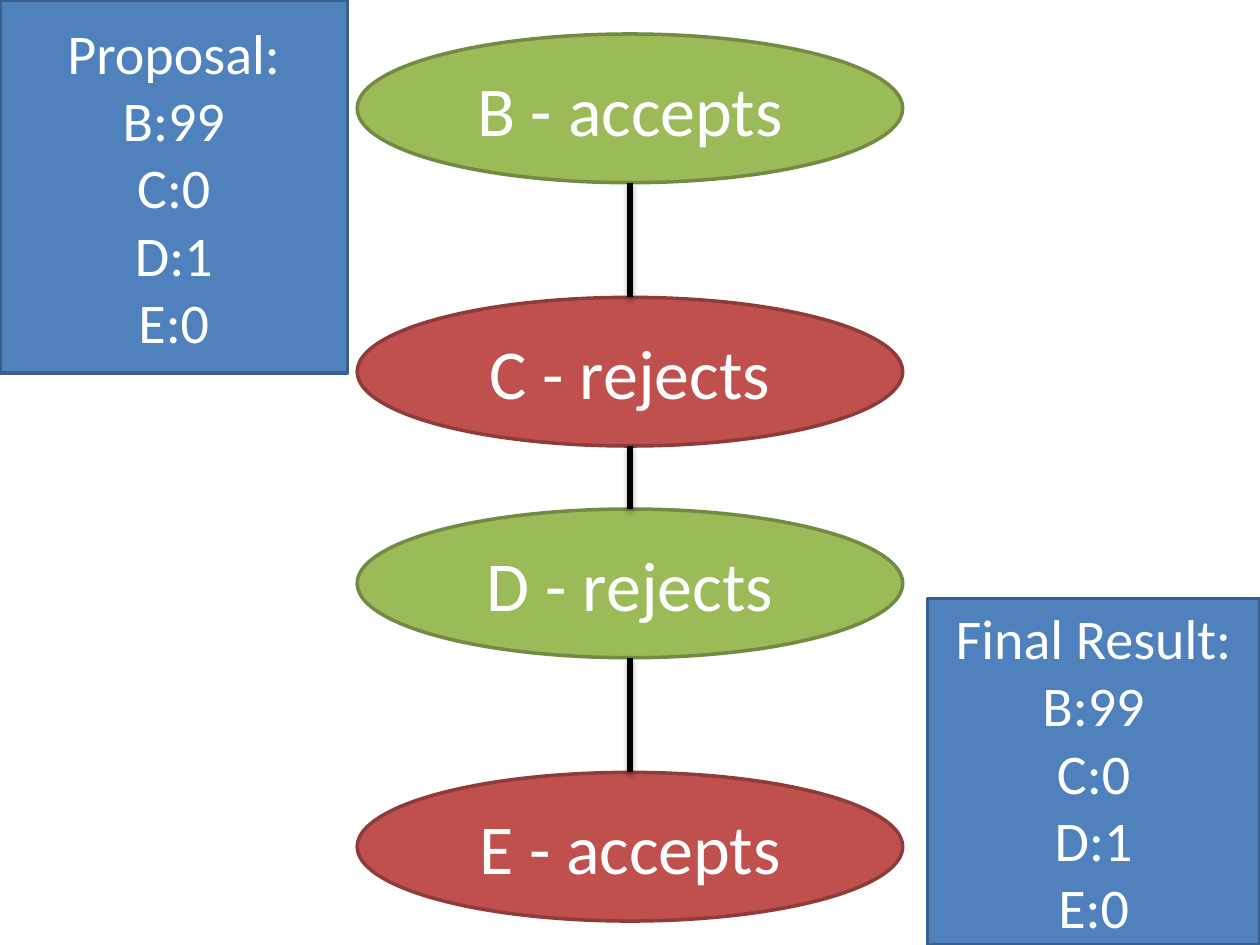
import pptx
import pptx.util
import pptx.dml.color
import pptx.enum.shapes
import pptx.enum.text
import pptx.oxml

Inches = pptx.util.Inches
SHAPE = pptx.enum.shapes.MSO_SHAPE
SHADOW = (
    '<a:effectLst xmlns:a="http://schemas.openxmlformats.org/drawingml/2006/main">'
    '<a:outerShdw blurRad="40000" dist="23000" dir="5400000" rotWithShape="0">'
    '<a:srgbClr val="000000"><a:alpha val="35000"/></a:srgbClr>'
    '</a:outerShdw></a:effectLst>'
)


def color(value):
    return pptx.dml.color.RGBColor.from_string(value)


class Deck:
    font = {"name": "Calibri"}
    text_color = "FFFFFF"
    styles = {
        "green": ("9BBB59", "738A42"),
        "red": ("C0504D", "8E3B39"),
        "blue": ("4F81BD", "3A5F8C"),
    }

    def __init__(self, prs):
        self.s = prs.slides.add_slide(prs.slide_layouts[6])

    def shape(self, kind, box, style, lines, size):
        sp = self.s.shapes.add_shape(kind, *map(Inches, box))
        sp.shadow.inherit = False
        fill, line = self.styles[style]
        sp.fill.solid()
        sp.fill.fore_color.rgb = color(fill)
        sp.line.color.rgb = color(line)
        sp.line.width = pptx.util.Pt(2)
        tf = sp.text_frame
        tf.word_wrap = True
        tf.vertical_anchor = pptx.enum.text.MSO_ANCHOR.MIDDLE
        for i, text in enumerate(lines):
            p = tf.paragraphs[0] if i == 0 else tf.add_paragraph()
            p.alignment = pptx.enum.text.PP_ALIGN.CENTER
            r = p.add_run()
            r.text = text
            for key, value in {**self.font, "size": pptx.util.Pt(size)}.items():
                setattr(r.font, key, value)
            r.font.color.rgb = color(self.text_color)

    def node(self, box, style, text):
        self.shape(SHAPE.OVAL, box, style, [text], 40)

    def panel(self, box, title, shares):
        self.shape(SHAPE.RECTANGLE, box, "blue", [title, *shares], 32)

    def link(self, x, top, bottom):
        c = self.s.shapes.add_connector(
            pptx.enum.shapes.MSO_CONNECTOR.STRAIGHT,
            Inches(x), Inches(top), Inches(x), Inches(bottom))
        c.line.color.rgb = color("000000")
        c.line.width = pptx.util.Pt(3)
        c._element.spPr.append(pptx.oxml.parse_xml(SHADOW))


prs = pptx.Presentation()
prs.slide_width, prs.slide_height = Inches(10), Inches(7.5)
deck = Deck(prs)

shares = ["B:99", "C:0", "D:1", "E:0"]
deck.panel((0, 0, 2.76, 2.96), "Proposal:", shares)
deck.panel((7.36, 4.75, 2.64, 2.75), "Final Result:", shares)

node_w, node_h, center = 4.33, 1.18, 5
nodes = [
    (0.27, "green", "B - accepts"),
    (2.36, "red", "C - rejects"),
    (4.04, "green", "D - rejects"),
    (6.13, "red", "E - accepts"),
]
for top, style, text in nodes:
    deck.node((center - node_w / 2, top, node_w, node_h), style, text)
for upper, lower in zip(nodes, nodes[1:]):
    deck.link(center, upper[0] + node_h, lower[0])

prs.save("out.pptx")
